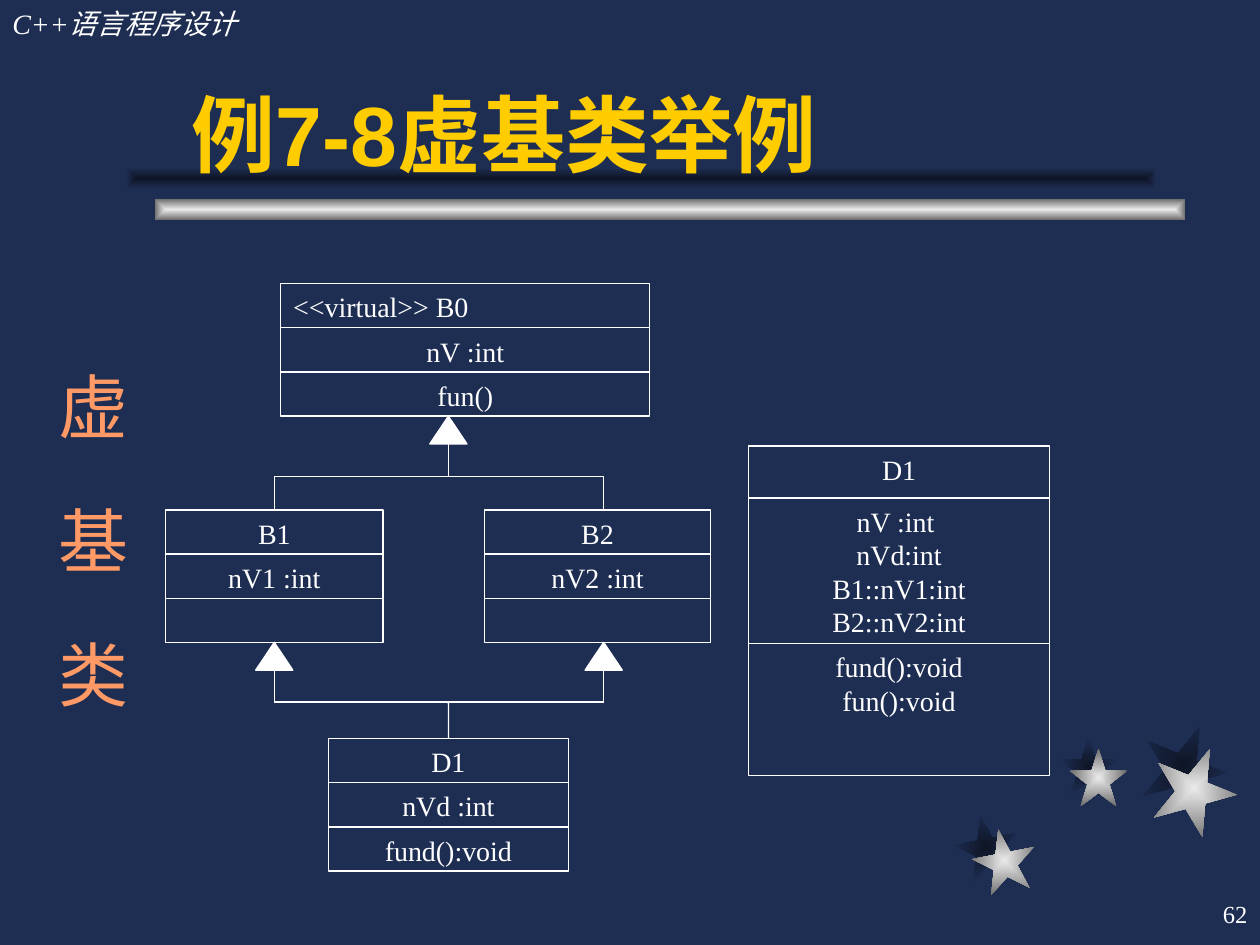
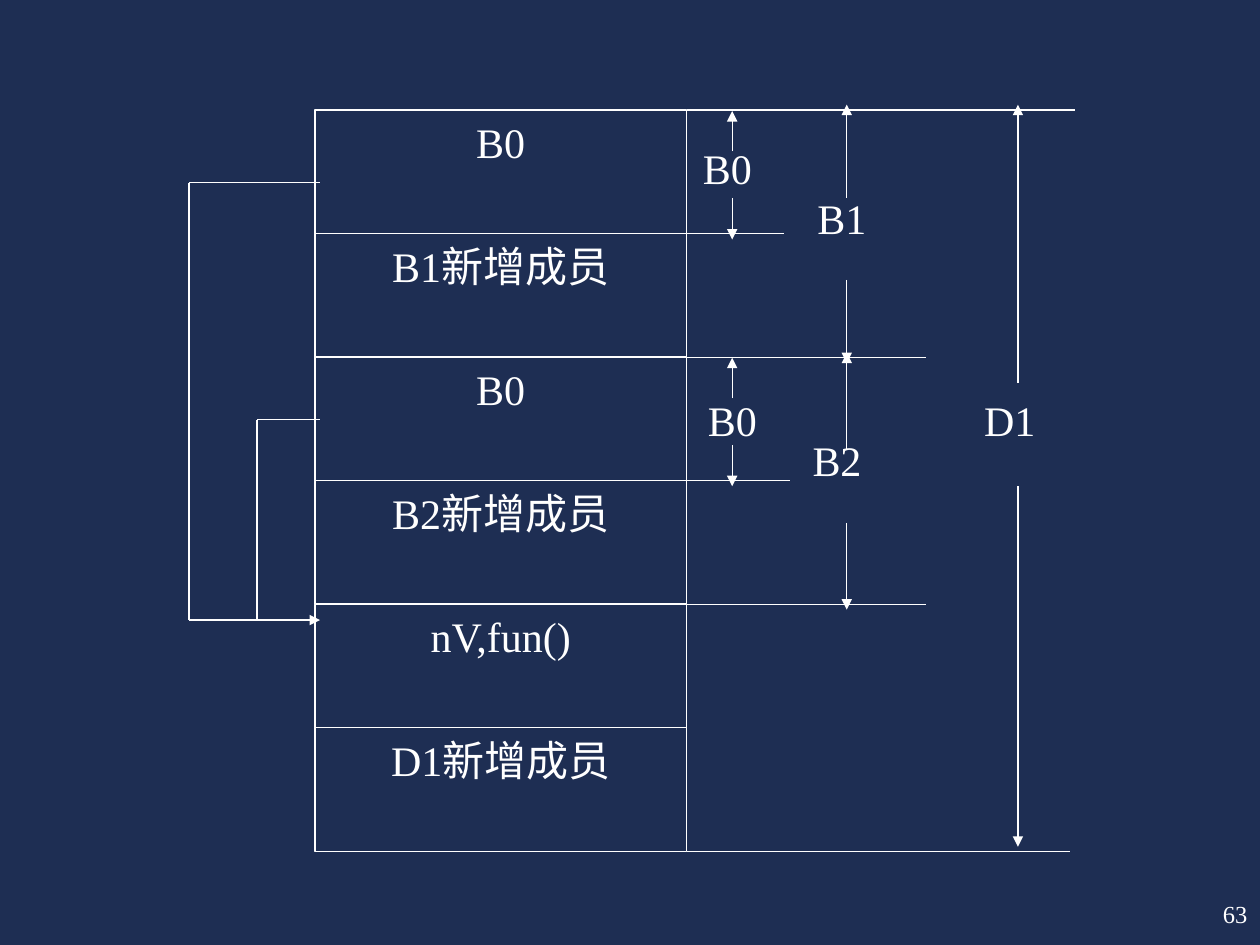
import lxml.etree
import pptx
import pptx.dml.color
import pptx.enum.shapes
import pptx.enum.text
import pptx.oxml.ns
import pptx.util

Cm = pptx.util.Cm
Pt = pptx.util.Pt
RGBColor = pptx.dml.color.RGBColor
SHAPE = pptx.enum.shapes.MSO_SHAPE
ALIGN = pptx.enum.text.PP_ALIGN
ANCHOR = pptx.enum.text.MSO_ANCHOR
qn = pptx.oxml.ns.qn

NAVY = RGBColor(0x1E, 0x2E, 0x53)
DARK_NAVY = RGBColor(0x0E, 0x15, 0x26)
SILVER = RGBColor(0xEA, 0xEA, 0xEA)
GRAY = RGBColor(0x6C, 0x6C, 0x6C)
WHITE = RGBColor(0xFF, 0xFF, 0xFF)
GOLD = RGBColor(0xFF, 0xCC, 0x00)
ORANGE = RGBColor(0xFF, 0x99, 0x66)
BODY_FONT = "Times New Roman"
TITLE_FONT = "Arial"

# All positions and sizes are in centimetres.
COURSE = "C++语言程序设计"
TITLE = "例7-8虚基类举例"
SIDE_HEADING = ["虚", "基", "类"]
FIRST_PAGE = 62

# Stars: face left, face top, shadow left, shadow top, size, rotation
STARS = [
    (19.61, 16.71, 19.25, 16.43, 1.27, 349),
    (21.56, 15.09, 21.36, 14.86, 1.17, 0),
    (23.22, 15.04, 23.01, 14.6, 1.7, 22),
]
BAR_SIZE = (20.78, 0.43)
BAR_FACE = (3.12, 4.01)
BAR_SHADOW = (2.54, 3.38)

# Classes: left, top, width, compartments of (height, lines)
ROW = 0.89
CLASSES = {
    "B0": (5.66, 5.72, 7.44,
           [(ROW, ["<<virtual>> B0"]), (ROW, ["nV :int"]), (ROW, ["fun()"])]),
    "B1": (3.34, 10.28, 4.38, [(ROW, ["B1"]), (ROW, ["nV1 :int"]), (ROW, [])]),
    "B2": (9.77, 10.28, 4.55, [(ROW, ["B2"]), (ROW, ["nV2 :int"]), (ROW, [])]),
    "D1": (6.62, 14.89, 4.84,
           [(ROW, ["D1"]), (ROW, ["nVd :int"]), (ROW, ["fund():void"])]),
    "D1 members": (15.09, 8.99, 6.07, [
        (1.05, ["D1"]),
        (2.93, ["nV :int ", "nVd:int", "B1::nV1:int", "B2::nV2:int"]),
        (2.66, ["fund():void", "fun():void"]),
    ]),
}
LEFT_X, TRUNK_X, RIGHT_X = 5.53, 9.04, 12.17
B0_BOTTOM, UPPER_RAIL, B_TOP = 8.39, 9.6, 10.28
B_BOTTOM, LOWER_RAIL, D1_TOP = 12.95, 14.15, 14.89
ARROWHEAD_WIDTH, ARROWHEAD_HEIGHT = 0.75, 0.56

MEMORY = ["B0", "B1新增成员", "B0", "B2新增成员", "nV,fun()", "D1新增成员"]
MEMORY_LEFT, MEMORY_TOP, MEMORY_WIDTH, MEMORY_ROW = 6.35, 2.22, 7.49, 2.49
# Row edge number and right end of its extension line
EXTENSIONS = [(0, 21.67), (1, 15.8), (2, 18.67), (3, 15.93), (4, 18.67), (6, 21.56)]
# Label, label left and top, arrow x, top, gap start, gap end, bottom
DIMENSIONS = [
    ("B0", 14.17, 2.87, 14.76, 2.24, 3.05, 3.99, 4.83),
    ("B1", 16.48, 3.89, 17.07, 2.11, 3.99, 5.64, 7.32),
    ("B0", 14.27, 7.95, 14.76, 7.21, 8.03, 8.97, 9.8),
    ("B2", 16.38, 8.76, 17.07, 7.11, 9.07, 10.54, 12.29),
    ("D1", 19.84, 7.95, 20.52, 2.11, 7.72, 9.8, 17.07),
]
# Pointers from each B0 part to the shared member: start y, turning x
POINTERS = [(3.68, 3.81), (8.46, 5.18)]
POINTER_X, POINTER_Y = 6.45, 12.5


def write(shape, lines, size, color=WHITE, align=ALIGN.CENTER, font=BODY_FONT,
          anchor=ANCHOR.TOP, bold=False, italic=False):
    frame = shape.text_frame
    frame.word_wrap = True
    frame.auto_size = pptx.enum.text.MSO_AUTO_SIZE.NONE
    frame.vertical_anchor = anchor
    frame.text = "\n".join(lines)
    for paragraph in frame.paragraphs:
        paragraph.alignment = align
        for span in paragraph.runs:
            span.font.size = Pt(size)
            span.font.name = font
            span.font.bold = bold
            span.font.italic = italic
            span.font.color.rgb = color
    return frame


def set_margins(frame, side, vertical):
    frame.margin_left = frame.margin_right = Cm(side)
    frame.margin_top = frame.margin_bottom = Cm(vertical)


def add_text(slide, left, top, width, height, lines, size, **style):
    box = slide.shapes.add_textbox(Cm(left), Cm(top), Cm(width), Cm(height))
    return write(box, lines, size, **style)


def add_preset(slide, kind, left, top, width, height):
    shape = slide.shapes.add_shape(kind, Cm(left), Cm(top), Cm(width), Cm(height))
    shape.shadow.inherit = False
    return shape


def add_box(slide, left, top, width, height):
    box = add_preset(slide, SHAPE.RECTANGLE, left, top, width, height)
    box.fill.background()
    box.line.color.rgb = WHITE
    box.line.width = Pt(0.75)
    return box


def add_line(slide, start, end, arrow=False):
    line = slide.shapes.add_connector(
        pptx.enum.shapes.MSO_CONNECTOR.STRAIGHT, *map(Cm, start + end))
    line.line.color.rgb = WHITE
    line.line.width = Pt(0.75)
    properties = line._element.spPr
    if arrow:
        outline = properties.find(qn("a:ln"))
        lxml.etree.SubElement(outline, qn("a:tailEnd"), type="triangle")
    lxml.etree.SubElement(properties, qn("a:effectLst"))
    return line


def add_glow(slide, kind, place, size, colors, rotation=0):
    """Add a borderless shape shaded from its centre outwards."""
    shape = add_preset(slide, kind, *place, *size)
    shape.rotation = rotation
    shape.line.fill.background()
    shape.fill.gradient()
    for stop, color in zip(shape.fill.gradient_stops, colors):
        stop.color.rgb = color
    gradient = shape._element.spPr.find(qn("a:gradFill"))
    gradient.remove(gradient.find(qn("a:lin")))
    shading = lxml.etree.SubElement(gradient, qn("a:path"), path="rect")
    lxml.etree.SubElement(shading, qn("a:fillToRect"),
                          l="50000", t="50000", r="50000", b="50000")


def add_page_number(slide, number):
    add_text(slide, 20.12, 17.78, 5.28, 1.27, [str(number)], 14,
             align=ALIGN.RIGHT, anchor=ANCHOR.MIDDLE)


def add_decoration(slide):
    shadow, metal = (DARK_NAVY, NAVY), (SILVER, GRAY)
    for _, _, left, top, size, rotation in STARS:
        add_glow(slide, SHAPE.STAR_5_POINT, (left, top), (size, size), shadow, rotation)
    for left, top, _, _, size, rotation in STARS:
        add_glow(slide, SHAPE.STAR_5_POINT, (left, top), (size, size), metal, rotation)
    add_glow(slide, SHAPE.RECTANGLE, BAR_FACE, BAR_SIZE, metal)
    add_glow(slide, SHAPE.RECTANGLE, BAR_SHADOW, BAR_SIZE, shadow)
    add_text(slide, 0, 0, 7.82, 0.94, [COURSE], 16, align=ALIGN.LEFT, italic=True)


def add_title(slide, text):
    """Place the title above the decoration."""
    title = slide.shapes.title
    title.left, title.top, title.width, title.height = map(Cm, (3.61, 0.64, 19.89, 3.18))
    write(title, [text], 48, color=GOLD, align=ALIGN.LEFT, font=TITLE_FONT,
          anchor=ANCHOR.BOTTOM, bold=True)
    slide.shapes._spTree.append(title._element)


def add_class(slide, left, top, width, compartments):
    """Stack the compartments of a class and return the top one."""
    boxes = []
    for height, lines in compartments:
        box = add_box(slide, left, top, width, height)
        if lines:
            virtual = lines[0].startswith("<<")
            write(box, lines, 16, align=ALIGN.JUSTIFY if virtual else ALIGN.CENTER)
        boxes.append(box)
        top += height
    return boxes[0]


def add_inheritance_arrow(slide, x, top, rail):
    head = add_preset(slide, SHAPE.ISOSCELES_TRIANGLE, x - ARROWHEAD_WIDTH / 2, top,
                      ARROWHEAD_WIDTH, ARROWHEAD_HEIGHT)
    head.fill.solid()
    head.fill.fore_color.rgb = WHITE
    head.line.color.rgb = WHITE
    head.line.width = Pt(0.75)
    add_line(slide, (x, top + ARROWHEAD_HEIGHT), (x, rail))


def build_class_slide(slide):
    add_decoration(slide)
    add_title(slide, TITLE)
    add_page_number(slide, FIRST_PAGE)
    heading = add_text(slide, 0.64, 6.32, 2.5, 8.1, SIDE_HEADING, 40, color=ORANGE)
    set_margins(heading, 0, 0)
    for paragraph in heading.paragraphs:
        paragraph.line_spacing = Pt(76.5)

    tops = {name: add_class(slide, *data) for name, data in CLASSES.items()}
    add_inheritance_arrow(slide, TRUNK_X, B0_BOTTOM, UPPER_RAIL)
    for x in (LEFT_X, RIGHT_X):
        add_inheritance_arrow(slide, x, B_BOTTOM, LOWER_RAIL)
    for rail in (UPPER_RAIL, LOWER_RAIL):
        add_line(slide, (LEFT_X, rail), (RIGHT_X, rail))
    add_line(slide, (RIGHT_X, UPPER_RAIL), (RIGHT_X, B_TOP))
    add_line(slide, (LEFT_X, UPPER_RAIL), (LEFT_X, B_TOP)).end_connect(tops["B1"], 0)
    add_line(slide, (TRUNK_X, LOWER_RAIL), (TRUNK_X, D1_TOP)).end_connect(tops["D1"], 0)


def build_memory_slide(slide):
    for row, label in enumerate(MEMORY):
        box = add_box(slide, MEMORY_LEFT, MEMORY_TOP + row * MEMORY_ROW,
                      MEMORY_WIDTH, MEMORY_ROW)
        set_margins(write(box, [label], 24), 0, 0.13)
    for edge, end in EXTENSIONS:
        y = MEMORY_TOP + edge * MEMORY_ROW
        add_line(slide, (MEMORY_LEFT + MEMORY_WIDTH, y), (end, y))
    for label, left, label_top, x, top, gap_start, gap_end, bottom in DIMENSIONS:
        add_line(slide, (x, gap_start), (x, top), arrow=True)
        add_line(slide, (x, gap_end), (x, bottom), arrow=True)
        frame = add_text(slide, left, label_top, 2.08, 1.55, [label], 24,
                         align=ALIGN.JUSTIFY)
        set_margins(frame, 0, 0)
    for y, turn in POINTERS:
        add_line(slide, (POINTER_X, y), (turn, y))
        add_line(slide, (turn, y), (turn, POINTER_Y))
    add_line(slide, (POINTERS[0][1], POINTER_Y), (POINTER_X, POINTER_Y), arrow=True)
    add_page_number(slide, FIRST_PAGE + 1)


def main():
    deck = pptx.Presentation()
    deck.slide_width, deck.slide_height = Cm(25.4), Cm(19.05)
    background = deck.slide_master.background.fill
    background.solid()
    background.fore_color.rgb = NAVY
    title_only, blank = deck.slide_layouts[5], deck.slide_layouts[6]
    build_class_slide(deck.slides.add_slide(title_only))
    build_memory_slide(deck.slides.add_slide(blank))
    deck.save("out.pptx")


if __name__ == "__main__":
    main()
